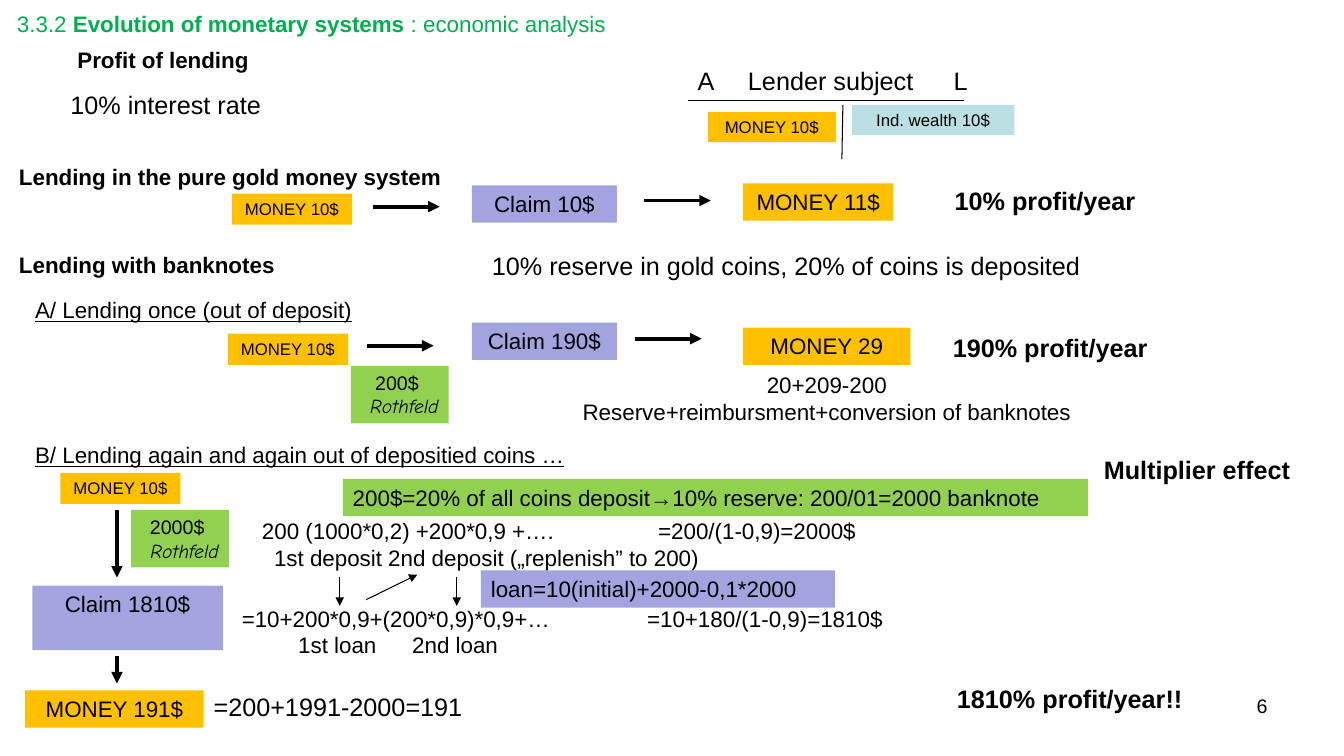
"""Builds the slide on the profit of lending in gold and banknote systems."""
from lxml.etree import SubElement
from pptx import Presentation
from pptx.dml.color import RGBColor
from pptx.enum.shapes import MSO_CONNECTOR, MSO_SHAPE
from pptx.enum.text import MSO_ANCHOR, PP_ALIGN
from pptx.oxml.ns import qn
from pptx.util import Pt

SCALE = 9144
BLACK, GREEN = "000000", "00B050"
GOLD, CLAIM, NOTE, WEALTH = "FFC000", "A3A3E0", "92D050", "BBE0E3"
ALIGN = {"l": PP_ALIGN.LEFT, "c": PP_ALIGN.CENTER, "r": PP_ALIGN.RIGHT}

TITLE = [("3.3.2 ", ""), ("Evolution of monetary systems ", "b"),
         (": economic analysis", "")]

# left, top, width, height, size, style, align, lines
TEXTS = [
    (67, 41, 214, 37, 16, "b", "l", ["Profit of lending"]),
    (60, 84, 211, 40, 18, "", "l", ["10% interest rate"]),
    (9, 157, 444, 37, 16, "b", "l", ["Lending in the pure gold money system"]),
    (936, 179, 201, 40, 18, "b", "c", ["10% profit/year"]),
    (9, 244, 277, 37, 16, "b", "l", ["Lending with banknotes"]),
    (478, 243, 609, 40, 18, "", "l",
     ["10% reserve in gold coins, 20% of coins is deposited"]),
    (25, 289, 345, 37, 16, "u", "l", ["A/ Lending once (out of deposit)"]),
    (934, 325, 215, 40, 18, "b", "c", ["190% profit/year"]),
    (556, 363, 528, 64, 16, "", "c",
     ["20+209-200", "Reserve+reimbursment+conversion of banknotes"]),
    (25, 433, 587, 37, 16, "u", "l",
     ["B/ Lending again and again out of depositied coins …"]),
    (1085, 446, 212, 41, 18, "b", "l", ["Multiplier effect"]),
    (202, 681, 290, 40, 18, "", "l", ["=200+1991-2000=191"]),
    (938, 673, 246, 40, 18, "b", "c", ["1810% profit/year!!"]),
    (956, 683, 311, 52, 14, "", "r", ["6"]),
]

# left, top, width, height, size, tab stops, lines
TABBED = [
    (682, 60, 322, 40, 18, [50, 254], ["A\tLender subject\tL"]),
    (250, 508, 670, 64, 16, [12, 393],
     ["200 (1000*0,2) +200*0,9 +….\t=200/(1-0,9)=2000$",
      "\t1st deposit 2nd deposit („replenish” to 200)"]),
    (230, 595, 726, 64, 16, [56, 169, 402],
     ["=10+200*0,9+(200*0,9)*0,9+…\t=10+180/(1-0,9)=1810$",
      "\t1st loan\t2nd loan"]),
]

# left, top, width, height, fill, size, align, text
BLOCKS = [
    (845, 104, 161, 30, WEALTH, 12, "c", "Ind. wealth 10$"),
    (702, 111, 127, 30, GOLD, 12, "c", "MONEY 10$"),
    (468, 184, 144, 37, CLAIM, 16, "c", "Claim 10$"),
    (737, 182, 149, 37, GOLD, 16, "c", "MONEY 11$"),
    (468, 320, 144, 37, CLAIM, 16, "c", "Claim 190$"),
    (737, 325, 166, 37, GOLD, 16, "c", "MONEY 29"),
    (32, 581, 189, 64, CLAIM, 16, "c", "Claim 1810$"),
    (25, 685, 177, 37, GOLD, 16, "c", "MONEY 191$"),
    (340, 475, 739, 37, NOTE, 16, "l",
     "200$=20% of all coins deposit→10% reserve: 200/01=2000 banknote"),
    (477, 566, 351, 37, CLAIM, 16, "l", "loan=10(initial)+2000-0,1*2000"),
]
COINS = [(230, 192), (226, 331), (60, 469)]
NOTES = [(348, 363, "200$ "), (130, 506, "2000$ ")]

RULES = [(682, 100, 956, 100), (836, 104, 835, 158)]
FLOWS = [(370, 205, 436, 205), (639, 199, 705, 199), (364, 343, 430, 343),
         (630, 336, 696, 336), (116, 506, 116, 573), (116, 651, 116, 678)]
HINTS = [(363, 595, 414, 570), (337, 572, 337, 601), (453, 572, 453, 601)]


def px(*nums):
    """Turn px lengths into EMU."""
    return [n * SCALE for n in nums]


def tint(code):
    """Turn a hex string into a colour."""
    return RGBColor.from_string(code)


def write(shape, lines, size, tabs=(), color=BLACK):
    """Fill a shape with lines of (align, runs), each run (text, style)."""
    frame = shape.text_frame
    frame.word_wrap = True
    frame.vertical_anchor = MSO_ANCHOR.TOP
    for i, (align, runs) in enumerate(lines):
        para = frame.paragraphs[0] if i == 0 else frame.add_paragraph()
        para.alignment = ALIGN[align]
        if tabs:
            stops = SubElement(para._p.get_or_add_pPr(), qn("a:tabLst"))
            for pos in tabs:
                SubElement(stops, qn("a:tab"), pos=str(pos * SCALE), algn="l")
        for text, style in runs:
            run = para.add_run()
            run.text = text
            font = run.font
            font.name = "Comic Neue" if "i" in style else "Arial"
            font.size = Pt(size)
            font.bold = "b" in style
            font.italic = "i" in style
            font.underline = "u" in style
            font.color.rgb = tint(color)


def label(slide, area, lines, size, tabs=(), color=BLACK):
    """Add a text box."""
    write(slide.shapes.add_textbox(*px(*area)), lines, size, tabs, color)


def block(slide, area, fill, lines, size):
    """Add a filled rectangle with text."""
    shape = slide.shapes.add_shape(MSO_SHAPE.RECTANGLE, *px(*area))
    shape.shadow.inherit = False
    shape.fill.solid()
    shape.fill.fore_color.rgb = tint(fill)
    shape.line.fill.background()
    write(shape, lines, size)


def stroke(slide, ends, width, head):
    """Add a black line, with an arrowhead if asked."""
    line = slide.shapes.add_connector(MSO_CONNECTOR.STRAIGHT, *px(*ends))
    line.line.color.rgb = tint(BLACK)
    line.line.width = Pt(width)
    if head:
        SubElement(line.line._get_or_add_ln(), qn("a:tailEnd"), type="triangle")
    SubElement(line._element.spPr, qn("a:effectLst"))


def main():
    """Build and save the slide."""
    deck = Presentation()
    deck.slide_width, deck.slide_height = px(1333, 750)
    slide = deck.slides.add_slide(deck.slide_layouts[6])

    label(slide, (7, 5, 748, 37), [("l", TITLE)], 16, color=GREEN)
    for *area, size, style, align, lines in TEXTS:
        label(slide, area, [(align, [(t, style)]) for t in lines], size)
    for *area, size, tabs, lines in TABBED:
        label(slide, area, [("l", [(t, "")]) for t in lines], size, tabs)

    for *area, fill, size, align, text in BLOCKS:
        block(slide, area, fill, [(align, [(text, "")])], size)
    for x, y in COINS:
        block(slide, (x, y, 119, 31), GOLD, [("c", [("MONEY 10$", "")])], 12)
    for x, y, sum_ in NOTES:
        lines = [("c", [(sum_, "")]), ("r", [("Rothfeld", "i")])]
        block(slide, (x, y, 97, 57), NOTE, lines, 14)

    for group, width, head in ((RULES, 0.75, False), (FLOWS, 2.75, True),
                               (HINTS, 0.75, True)):
        for ends in group:
            stroke(slide, ends, width, head)
    deck.save("out.pptx")


if __name__ == "__main__":
    main()
